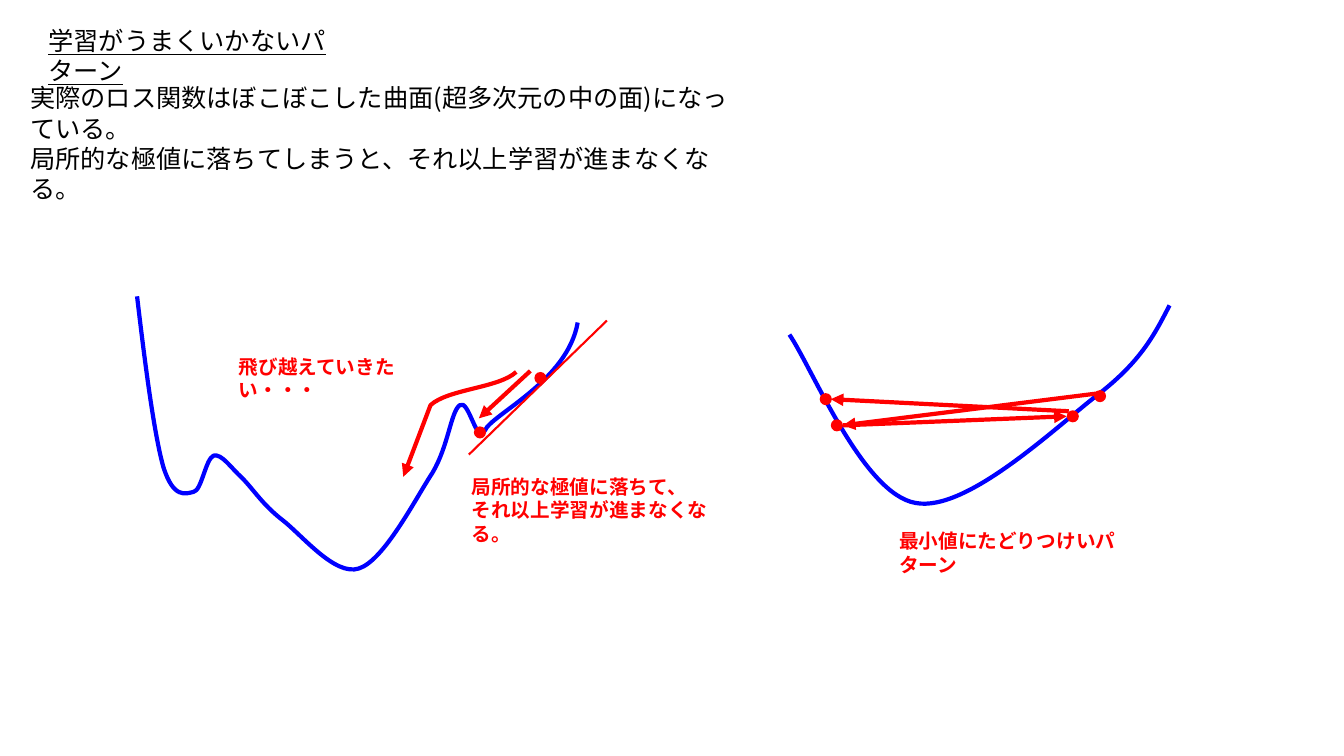
"""Build a slide on loss curves where learning gets stuck or overshoots."""
from lxml import etree
from pptx import Presentation
from pptx.dml.color import RGBColor
from pptx.enum import shapes, text
from pptx.oxml import ns
from pptx.util import Inches, Pt

BLACK = RGBColor(0, 0, 0)
WHITE = RGBColor(255, 255, 255)
RED = RGBColor(255, 0, 0)
BLUE = RGBColor(0, 0, 255)
FONT = "Noto Sans CJK JP"
DOT_SIZE = 0.12


def write(box, wording, size, color, bold=False, underline=False):
    """Fill a box with left-aligned, top-anchored paragraphs."""
    frame = box.text_frame
    frame.text = wording
    frame.word_wrap = True
    frame.auto_size = text.MSO_AUTO_SIZE.SHAPE_TO_FIT_TEXT
    frame.vertical_anchor = text.MSO_ANCHOR.TOP
    for para in frame.paragraphs:
        para.alignment = text.PP_ALIGN.LEFT
        para.space_before = Pt(0)
        for span in para.runs:
            font = span.font
            font.name, font.size, font.color.rgb = FONT, Pt(size), color
            font.bold, font.underline = bold, underline
            east_asian = etree.SubElement(span._r.get_or_add_rPr(), ns.qn("a:ea"))
            east_asian.set("typeface", FONT)


def style_line(shape, color, width, arrow=False):
    """Style a stroke, with an optional arrowhead at its end."""
    shape.line.color.rgb = color
    shape.line.width = Pt(width)
    if arrow:
        head = etree.SubElement(shape.line._get_or_add_ln(), ns.qn("a:tailEnd"))
        head.set("type", "triangle")


deck = Presentation()
deck.slide_width = Inches(13.33)
deck.slide_height = Inches(7.5)
page = deck.slides.add_slide(deck.slide_layouts[1])

title, body = page.placeholders
title.left, title.top, title.width, title.height = map(Inches, (0.38, 0.2, 3.1, 0.4))
write(title, "学習がうまくいかないパターン", 18, BLACK, underline=True)

body.left, body.top, body.width, body.height = map(Inches, (0.2, 0.77, 7.17, 0.71))
write(body, "実際のロス関数はぼこぼこした曲面(超多次元の中の面)になっている。\n"
            "局所的な極値に落ちてしまうと、それ以上学習が進まなくなる。", 18, BLACK)
for para in body.text_frame.paragraphs:
    properties = para._p.get_or_add_pPr()
    properties.set("marL", "0")
    properties.set("indent", "0")
    etree.SubElement(properties, ns.qn("a:buNone"))

bumpy_loss = [
    (1.36, 2.94), (1.44, 3.62), (1.53, 4.31), (1.62, 4.63),
    (1.72, 4.95), (1.84, 4.9), (1.92, 4.88), (2, 4.87), (2.04, 4.55), (2.12, 4.52),
    (2.2, 4.5), (2.29, 4.64), (2.4, 4.74), (2.51, 4.85), (2.6, 5), (2.79, 5.15),
    (2.99, 5.3), (3.32, 5.72), (3.56, 5.64), (3.81, 5.56), (4.12, 4.95), (4.29, 4.69),
    (4.45, 4.42), (4.47, 4.09), (4.56, 4.02), (4.65, 3.95), (4.73, 4.43), (4.81, 4.27),
    (4.88, 4.11), (5.63, 3.78), (5.73, 3.2)]
smooth_loss = [
    (7.83, 3.32), (8.06, 3.66), (8.56, 4.9), (9.08, 4.99), (9.59, 5.09),
    (10.49, 4.22), (10.91, 3.9), (11.33, 3.57), (11.46, 3.3), (11.6, 3.03)]
jump = [(5.12, 3.69), (4.95, 3.85), (4.44, 3.86), (4.27, 4.02)]
curves = [
    (bumpy_loss, [], BLUE, False),
    (smooth_loss, [], BLUE, False),
    (jump, [(4, 4.73)], RED, True)]
for controls, straight_end, color, arrow in curves:
    builder = page.shapes.build_freeform(*map(Inches, controls[0]))
    anchors = controls[3::3] + straight_end
    builder.add_line_segments([(Inches(x), Inches(y)) for x, y in anchors], close=False)
    curve = builder.convert_to_shape()
    curve.shadow.inherit = False
    curve.fill.background()
    style_line(curve, color, 3, arrow)
    segments = list(curve._element.iter(ns.qn("a:lnTo")))
    for segment, first in zip(segments, range(1, len(controls), 3)):
        bend = etree.Element(ns.qn("a:cubicBezTo"))
        for x, y in controls[first:first + 3]:
            point = etree.SubElement(bend, ns.qn("a:pt"))
            point.set("x", str(Inches(x) - curve.left))
            point.set("y", str(Inches(y) - curve.top))
        segment.getparent().replace(segment, bend)

dots = [(5.3, 3.69), (4.7, 4.23), (10.58, 4.07), (8.13, 3.9), (10.85, 3.87), (8.24, 4.16)]
for left, top in dots:
    dot = page.shapes.add_shape(
        shapes.MSO_SHAPE.OVAL, *map(Inches, (left, top, DOT_SIZE, DOT_SIZE)))
    dot.shadow.inherit = False
    dot.fill.solid()
    dot.fill.fore_color.rgb = RED
    dot.line.fill.background()

strokes = [
    (5.26, 3.68, 4.75, 4.15, 3, True),
    (6.02, 3.18, 4.65, 4.51, 1.5, False),
    (10.91, 3.9, 8.36, 4.22, 3, True),
    (8.36, 4.22, 10.58, 4.13, 3, True),
    (10.6, 4.08, 8.24, 3.96, 3, True)]
for *ends, width, arrow in strokes:
    stroke = page.shapes.add_connector(shapes.MSO_CONNECTOR.STRAIGHT, *map(Inches, ends))
    style_line(stroke, RED, width, arrow)
    etree.SubElement(stroke._element.spPr, ns.qn("a:effectLst"))

labels = [
    (4.58, 4.66, 2.59, 0.57, "局所的な極値に落ちて、\nそれ以上学習が進まなくなる。"),
    (8.82, 5.2, 2.6, 0.34, "最小値にたどりつけいパターン"),
    (2.27, 3.47, 2.07, 0.34, "飛び越えていきたい・・・")]
for *place, wording in labels:
    label = page.shapes.add_textbox(*map(Inches, place))
    label.fill.solid()
    label.fill.fore_color.rgb = WHITE
    write(label, wording, 14, RED, bold=True)

deck.save("out.pptx")
